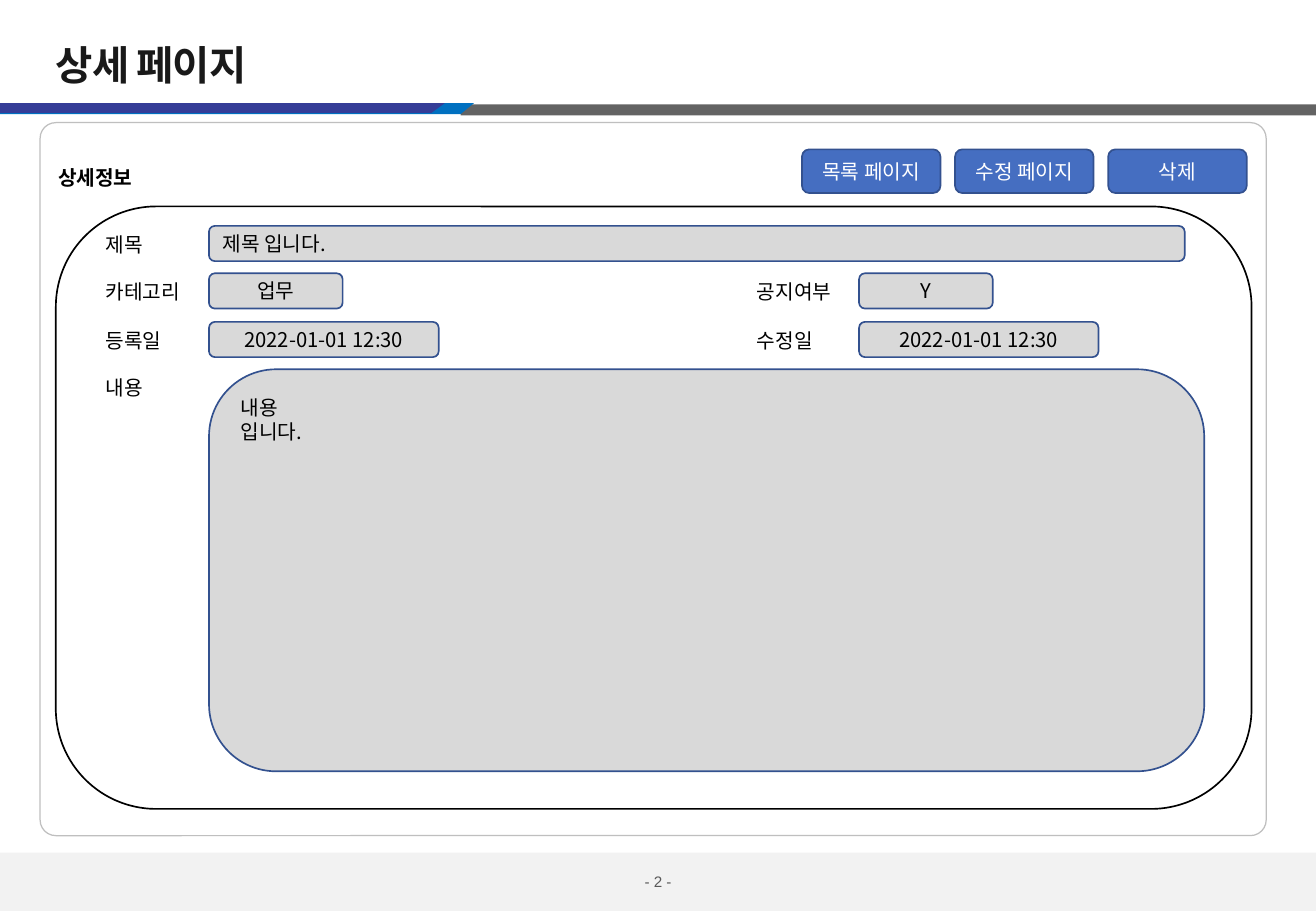
from lxml import etree
from pptx import Presentation
from pptx import util as u
from pptx.dml.color import RGBColor
from pptx.enum import shapes, text
from pptx.oxml import ns

BLACK = RGBColor(0x00, 0x00, 0x00)
WHITE = RGBColor(0xFF, 0xFF, 0xFF)
INK = RGBColor(0x19, 0x19, 0x19)
GREY = RGBColor(0x59, 0x59, 0x59)
BAND = RGBColor(0xF2, 0xF2, 0xF2)
RULE = RGBColor(0x63, 0x63, 0x63)
PALE = RGBColor(0xBF, 0xBF, 0xBF)
FIELD = RGBColor(0xD9, 0xD9, 0xD9)
EDGE = RGBColor(0x33, 0x51, 0x8F)
BUTTON = RGBColor(0x45, 0x6E, 0xC1)
NAVY = RGBColor(0x35, 0x3D, 0x97)
BLUE = RGBColor(0x00, 0x70, 0xC0)

LEFT, CENTER = text.PP_ALIGN.LEFT, text.PP_ALIGN.CENTER
TOP, MIDDLE = text.MSO_ANCHOR.TOP, text.MSO_ANCHOR.MIDDLE
RECT, ROUND = shapes.MSO_SHAPE.RECTANGLE, shapes.MSO_SHAPE.ROUNDED_RECTANGLE


class Page:
    """Holds the style and the current slide."""

    font = "Noto Sans CJK KR"
    size = 12

    def __init__(self, deck):
        self.slide = deck.slides.add_slide(deck.slide_layouts[5])
        self.shapes = self.slide.shapes

    def letter(self, frame, words, color=BLACK, align=LEFT, anchor=TOP,
               size=None, font=None, bold=False, gap=None):
        frame.text = words
        frame.vertical_anchor = anchor
        for para in frame.paragraphs:
            para.alignment = align
            for run in para.runs:
                face = run.font
                face.name = font or self.font
                face.size = u.Pt(size or self.size)
                face.bold = bold
                face.color.rgb = color
                props = run._r.get_or_add_rPr()
                if gap:
                    props.set("spc", str(gap))
                # Korean glyphs need their own typeface
                east = etree.SubElement(props, ns.qn("a:ea"))
                east.set("typeface", self.font)

    def trim(self, frame):
        frame.margin_left = frame.margin_right = 0
        frame.margin_top = frame.margin_bottom = 0

    def title(self, words, x, y, w, h):
        head = self.shapes.title
        head.left, head.top = u.Inches(x), u.Inches(y)
        head.width, head.height = u.Inches(w), u.Inches(h)
        frame = head.text_frame
        self.trim(frame)
        frame.word_wrap = False
        self.letter(frame, words, INK, anchor=MIDDLE, size=24,
                    font="Arial", bold=True, gap=-60)

    def paint(self, shape, fill, edge, width):
        shape.shadow.inherit = False
        if fill is None:
            shape.fill.background()
        else:
            shape.fill.solid()
            shape.fill.fore_color.rgb = fill
        if edge is None:
            shape.line.fill.background()
        else:
            shape.line.color.rgb = edge
            shape.line.width = u.Pt(width)

    def box(self, x, y, w, h, fill=None, edge=None, width=1, kind=ROUND, bend=None):
        shape = self.shapes.add_shape(
            kind, u.Inches(x), u.Inches(y), u.Inches(w), u.Inches(h))
        if bend is not None:
            shape.adjustments[0] = bend
        self.paint(shape, fill, edge, width)
        return shape

    def ribbon(self, end, y, h, fill):
        slant = 0.11
        outline = self.shapes.build_freeform(0, u.Inches(y), scale=1.0)
        spots = [(end, y), (end - slant, y + h), (0, y + h)]
        outline.add_line_segments([(u.Inches(a), u.Inches(b)) for a, b in spots])
        self.paint(outline.convert_to_shape(), fill, None, 0)

    def label(self, words, x, y, w, bold=False):
        note = self.shapes.add_textbox(
            u.Inches(x), u.Inches(y), u.Inches(w), u.Inches(0.3))
        note.text_frame.word_wrap = False
        self.letter(note.text_frame, words, bold=bold)

    def field(self, words, x, y, w, h=0.29, align=CENTER, anchor=MIDDLE):
        shape = self.box(x, y, w, h, FIELD, EDGE)
        self.letter(shape.text_frame, words, align=align, anchor=anchor)

    def button(self, words, x):
        shape = self.box(x, 1.23, 1.14, 0.36, BUTTON, EDGE)
        self.letter(shape.text_frame, words, WHITE, CENTER, MIDDLE)

    def number(self, words):
        note = self.shapes.add_textbox(
            u.Inches(4.74), u.Inches(7.18), u.Inches(1.35), u.Inches(0.15))
        self.trim(note.text_frame)
        note.text_frame.word_wrap = True
        self.letter(note.text_frame, words, GREY, CENTER, MIDDLE, 9, "Arial")


def main():
    deck = Presentation()
    deck.slide_width, deck.slide_height = u.Inches(10.83), u.Inches(7.5)
    page = Page(deck)

    # Footer, header stripe and outer frame
    page.box(0, 7.02, 10.83, 0.48, BAND, kind=RECT)
    page.box(3.79, 0.86, 7.04, 0.09, RULE, kind=RECT)
    page.ribbon(3.9, 0.85, 0.09, BLUE)
    page.ribbon(3.66, 0.85, 0.08, NAVY)
    page.number("- 2 -")
    page.box(0.33, 1.01, 10.09, 5.87, edge=PALE, width=0.75, bend=0.022)

    # Title, section heading and buttons
    page.title("상세 페이지", 0.46, 0.33, 1.76, 0.4)
    page.box(0.46, 1.7, 9.84, 4.96, WHITE, BLACK)
    page.label("상세정보", 0.38, 1.31, 0.88, bold=True)
    for i, words in enumerate(["목록 페이지", "수정 페이지", "삭제"]):
        page.button(words, 6.6 + 1.26 * i)

    # Form rows: label, value, column, row, field width
    columns = [(0.77, 1.72), (6.13, 7.07)]
    rows = [1.86, 2.25, 2.65, 3.04]
    short = [
        ("카테고리", "업무", 0, 1, 1.1),
        ("공지여부", "Y", 1, 1, 1.1),
        ("등록일", "2022-01-01 12:30", 0, 2, 1.89),
        ("수정일", "2022-01-01 12:30", 1, 2, 1.97),
    ]
    for name, value, col, row, width in short:
        near, far = columns[col]
        page.label(name, near, rows[row], 0.2 + 0.17 * len(name))
        page.field(value, far, rows[row], width)

    # Wide fields: subject and content
    near, far = columns[0]
    page.label("제목", near, rows[0], 0.54)
    page.field("제목 입니다.", far, rows[0], 8.03, align=LEFT)
    page.label("내용", near, rows[3], 0.54)
    page.field("내용\n입니다.", far, rows[3], 8.19, 3.31, LEFT, TOP)

    deck.save("out.pptx")


if __name__ == "__main__":
    main()
